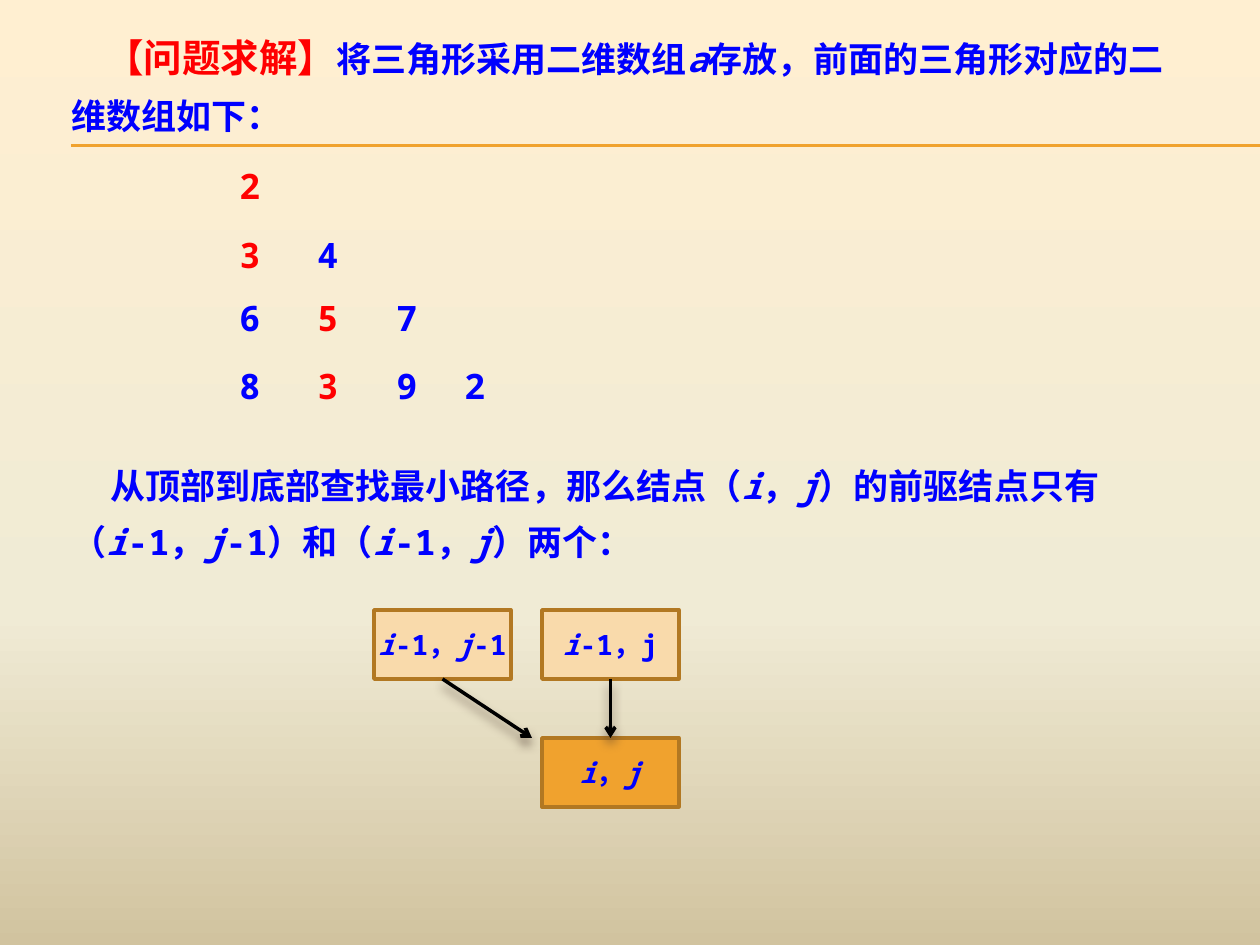
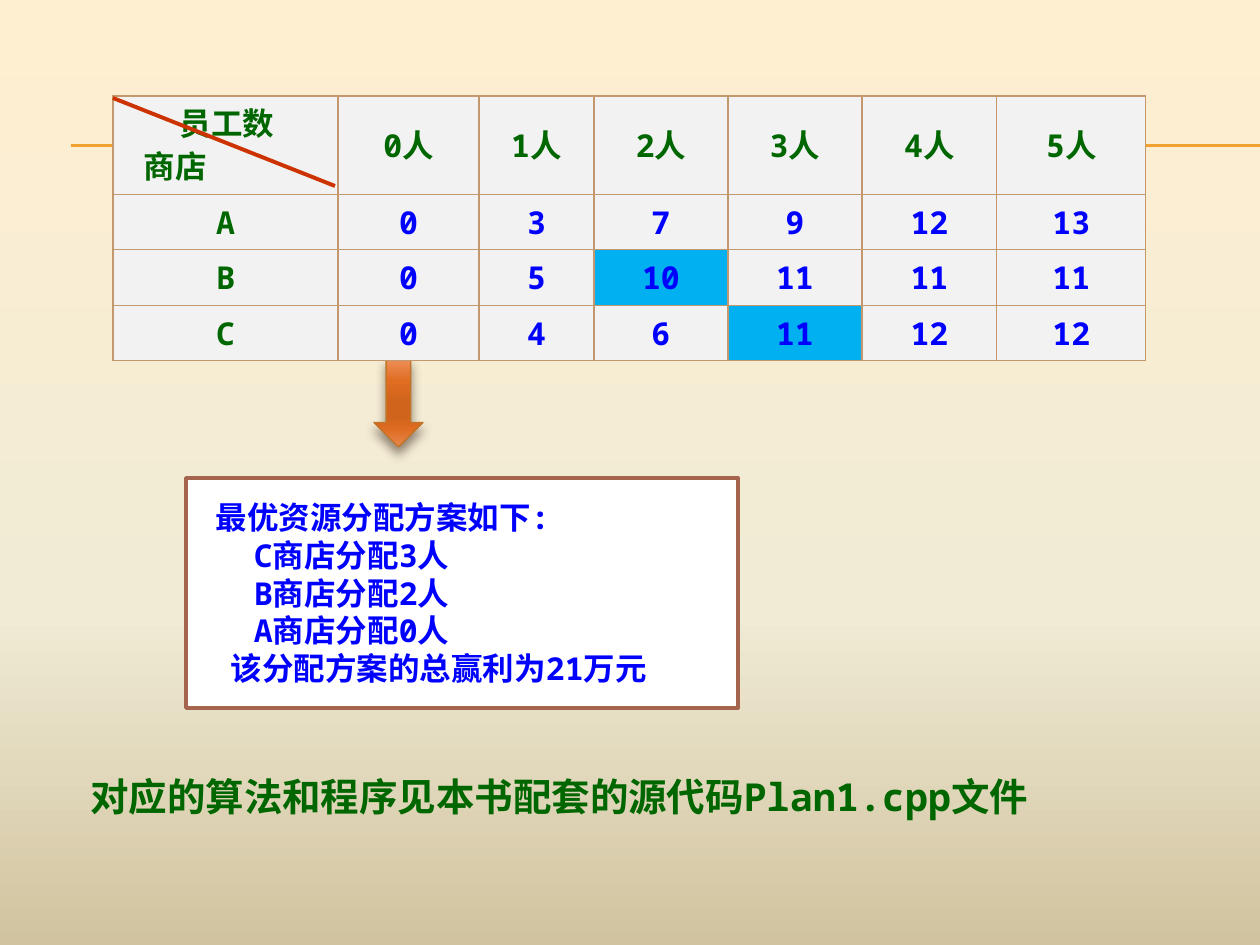
from dataclasses import dataclass

from lxml import etree
from pptx import Presentation
from pptx.dml.color import RGBColor
from pptx.enum.shapes import MSO_CONNECTOR, MSO_SHAPE
from pptx.enum.text import MSO_ANCHOR, MSO_AUTO_SIZE, PP_ALIGN
from pptx.oxml.ns import qn
from pptx.util import Pt

PX = 914400 / 126
STRAIGHT = MSO_CONNECTOR.STRAIGHT
RECTANGLE, DOWN_ARROW = MSO_SHAPE.RECTANGLE, MSO_SHAPE.DOWN_ARROW
LEFT, CENTER = PP_ALIGN.LEFT, PP_ALIGN.CENTER
TOP, MIDDLE = MSO_ANCHOR.TOP, MSO_ANCHOR.MIDDLE
NO_AUTOSIZE = MSO_AUTO_SIZE.NONE
SIDE_TOP, SIDE_BOTTOM = 0, 2
TITLE_ONLY, BLANK = 5, 6


@dataclass(frozen=True)
class Theme:
    """Colours, fonts and type sizes of the deck."""
    mono: str = "Noto Sans Mono"
    chinese: str = "Noto Sans CJK SC"
    blue: str = "0000FF"
    red: str = "FF0000"
    green: str = "006600"
    black: str = "000000"
    white: str = "FFFFFF"
    orange: str = "F0A22E"
    pale_orange: str = "F9DAAB"
    box_border: str = "B27822"
    plan_border: str = "A5644E"
    arrow_border: str = "C17529"
    cell: str = "F2F2F2"
    chosen_cell: str = "00B0F0"
    cell_border: str = "C3986D"
    diagonal: str = "CC3300"
    shadow: str = "4E3B30"
    background: tuple = ((0, "FFEFD1"), (65, "F0EBD5"), (100, "D1C39F"))
    arrow: tuple = ((0, "EE8F5B"), (25, "E06D21"), (50, "D0641C"),
                    (65, "D0641C"), (80, "DE6C20"), (100, "E88852"))
    large: int = 22
    normal: int = 20
    small: int = 18
    tiny: int = 16


def emu(pixels):
    """Turn px into EMU."""
    return round(pixels * PX)


def child(parent, tag, **attributes):
    """Append an XML element with the given attributes."""
    values = {name: str(value) for name, value in attributes.items()}
    return etree.SubElement(parent, qn(tag), values)


def set_gradient(fill, element, stops):
    """Give a fill a gradient that runs from top to bottom."""
    fill.gradient()
    gradient = element.find(".//" + qn("a:gradFill"))
    stop_list = gradient.find(qn("a:gsLst"))
    for stop in list(stop_list):
        stop_list.remove(stop)
    for position, colour in stops:
        stop = child(stop_list, "a:gs", pos=position * 1000)
        child(stop, "a:srgbClr", val=colour)
    gradient.find(qn("a:lin")).set("ang", "5400000")


def set_font(font, name, size, colour):
    """Set typeface, size and colour for Latin and Chinese text."""
    font.name, font.size, font.bold = name, Pt(size), True
    child(font._rPr, "a:ea", typeface=name)
    font.color.rgb = RGBColor.from_string(colour)


class Deck:
    """Holds the theme, the presentation and the current slide."""

    def __init__(self, theme):
        """Set the page size and the shared background."""
        self.theme = theme
        self.presentation = Presentation()
        self.presentation.slide_width = emu(1260)
        self.presentation.slide_height = emu(945)
        master = self.presentation.slide_master
        set_gradient(master.background.fill, master.element, theme.background)
        self.slide = None

    def new_slide(self, layout):
        """Start a slide with the double rule near its top."""
        layouts = self.presentation.slide_layouts
        self.slide = self.presentation.slides.add_slide(layouts[layout])
        for y in (145, 146):
            self.line((71, y), (1260, y), self.theme.orange, 0.75)

    def effects(self, shape, shadow):
        """Replace the theme effects by a soft shadow or by none."""
        effect_list = child(shape._element.spPr, "a:effectLst")
        if shadow:
            outer = child(effect_list, "a:outerShdw", blurRad=Pt(6), dist=Pt(4),
                          dir=5400000, rotWithShape=0)
            colour = child(outer, "a:srgbClr", val=self.theme.shadow)
            child(colour, "a:alpha", val=60000)

    def line(self, start, end, colour, width, arrow=False):
        """Draw a straight line, or a shadowed arrow."""
        connector = self.slide.shapes.add_connector(
            STRAIGHT, *map(emu, start + end))
        connector.line.color.rgb = RGBColor.from_string(colour)
        connector.line.width = Pt(width)
        if arrow:
            child(connector.line._ln, "a:tailEnd", type="arrow")
        self.effects(connector, arrow)
        return connector

    def fill_frame(self, frame, lines, size, colour, align=LEFT, anchor=TOP,
                   indents=(0,), spacing=None, lead=""):
        """Fill a frame with lines; asterisks enclose italics."""
        frame.word_wrap = True
        frame.vertical_anchor = anchor
        for index, line in enumerate(lines):
            paragraph = frame.paragraphs[0] if index == 0 else frame.add_paragraph()
            paragraph.alignment = align
            if spacing:
                paragraph.line_spacing = Pt(spacing)
            properties = paragraph._p.get_or_add_pPr()
            properties.set("marL", "0")
            properties.set("indent", str(emu(indents[index % len(indents)])))
            set_font(paragraph.font, self.theme.mono, size, colour)
            if lead:
                run = paragraph.add_run()
                run.text = lead
                set_font(run.font, self.theme.chinese, self.theme.large, self.theme.red)
            for part, text in enumerate(line.split("*")):
                if text:
                    run = paragraph.add_run()
                    run.text = text
                    if part % 2:
                        run.font.italic = True

    def title(self, box, text, **style):
        """Move the title placeholder and fill it."""
        title = self.slide.shapes.title
        title.left, title.top, title.width, title.height = map(emu, box)
        title.text_frame.auto_size = NO_AUTOSIZE
        self.fill_frame(title.text_frame, [text], **style)

    def text(self, box, text, **style):
        """Add a text box of one paragraph."""
        shape = self.slide.shapes.add_textbox(*map(emu, box))
        self.fill_frame(shape.text_frame, [text], **style)

    def shape(self, kind, box, fill, border, width, shadow=False):
        """Add a preset shape with a plain or gradient fill."""
        shape = self.slide.shapes.add_shape(kind, *map(emu, box))
        if isinstance(fill, str):
            shape.fill.solid()
            shape.fill.fore_color.rgb = RGBColor.from_string(fill)
        else:
            set_gradient(shape.fill, shape._element, fill)
        shape.line.color.rgb = RGBColor.from_string(border)
        shape.line.width = Pt(width)
        self.effects(shape, shadow)
        return shape

    def text_shape(self, box, fill, border, lines, margins, **style):
        """Add a bordered rectangle that holds text."""
        shape = self.shape(RECTANGLE, box, fill, border, 2)
        frame = shape.text_frame
        (frame.margin_left, frame.margin_top,
         frame.margin_right, frame.margin_bottom) = map(emu, margins)
        self.fill_frame(frame, lines, **style)
        return shape

    def node(self, left, top, label, fill):
        """Add one cell of the predecessor diagram."""
        return self.text_shape(
            (left, top, 137, 69), fill, self.theme.box_border, [label],
            (0, 6, 0, 6), size=self.theme.tiny, colour=self.theme.blue,
            align=CENTER, anchor=MIDDLE)

    def table(self, left, top, widths, heights):
        """Add an unstyled table with the given columns and rows."""
        table = self.slide.shapes.add_table(
            len(heights), len(widths), emu(left), emu(top),
            emu(sum(widths)), emu(sum(heights))).table
        table.first_row = table.horz_banding = False
        for column, width in zip(table.columns, widths):
            column.width = emu(width)
        for row, height in zip(table.rows, heights):
            row.height = emu(height)
        return table

    def cell(self, cell, lines, fill, anchor=TOP, **style):
        """Fill, border and label one table cell."""
        properties = cell._tc.get_or_add_tcPr()
        for side in "LRTB":
            border = child(properties, f"a:ln{side}", w=Pt(0.79))
            solid = child(border, "a:solidFill")
            child(solid, "a:srgbClr", val=self.theme.cell_border)
        cell.fill.solid()
        cell.fill.fore_color.rgb = RGBColor.from_string(fill)
        self.fill_frame(cell.text_frame, lines, self.theme.small, **style)
        cell.vertical_anchor = anchor


def triangle_slide(deck):
    """Show the number triangle and the two predecessors of a node."""
    theme = deck.theme
    deck.new_slide(TITLE_ONLY)
    body = {"size": theme.normal, "colour": theme.blue, "spacing": 32}
    deck.title((59, 18, 1152, 126),
               "将三角形采用二维数组*a*存放，前面的三角形对应的二维数组如下：",
               lead="【问题求解】", indents=(34,), **body)
    deck.text((59, 444, 1142, 126),
              "从顶部到底部查找最小路径，那么结点（*i*，*j*）的前驱结点只有"
              "（*i*-1，*j*-1）和（*i*-1，*j*）两个：", indents=(39,), **body)

    triangle = ("2", "34", "657", "8392")
    shortest_route = (0, 0, 1, 1)
    lefts, tops = (227, 305, 384, 452), (158, 227, 290, 358)
    for top, digits, route_column in zip(tops, triangle, shortest_route):
        for column, digit in enumerate(digits):
            colour = theme.red if column == route_column else theme.blue
            deck.text((lefts[column], top, 39, 55), digit,
                      size=theme.normal, colour=colour)

    target = deck.node(542, 738, "*i*，*j*", theme.orange)
    above = deck.node(542, 610, "*i*-1，j", theme.pale_orange)
    diagonal = deck.node(374, 610, "*i*-1，*j*-1", theme.pale_orange)
    straight = deck.line((610, 679), (610, 738), theme.black, 2, arrow=True)
    straight.begin_connect(above, SIDE_BOTTOM)
    straight.end_connect(target, SIDE_TOP)
    slanted = deck.line((443, 679), (532, 738), theme.black, 2, arrow=True)
    slanted.begin_connect(diagonal, SIDE_BOTTOM)


def allocation_slide(deck):
    """Show the profit table and the best allocation of staff."""
    theme = deck.theme
    deck.new_slide(BLANK)
    deck.text_shape(
        (186, 478, 552, 230), theme.white, theme.plan_border,
        ["最优资源分配方案如下:", "C商店分配3人", "B商店分配2人", "A商店分配0人",
         "该分配方案的总赢利为21万元"],
        (30, 20, 13, 20), size=theme.small, colour=theme.blue,
        indents=(0, 38, 38, 38, 15))
    deck.shape(DOWN_ARROW, (374, 359, 49, 88), theme.arrow,
               theme.arrow_border, 0.79, shadow=True)

    profits = {"A": (0, 3, 7, 9, 12, 13),
               "B": (0, 5, 10, 11, 11, 11),
               "C": (0, 4, 6, 11, 12, 12)}
    chosen = {("B", 2), ("C", 3)}
    table = deck.table(113, 96, (225, 141, 115, 134, 134, 135, 149), (88, 50, 50, 50))
    deck.cell(table.cell(0, 0), ["员工数", "商店"], theme.cell,
              colour=theme.green, indents=(54, 18))
    for staff in range(6):
        deck.cell(table.cell(0, staff + 1), [f"{staff}人"], theme.cell,
                  colour=theme.green, align=CENTER, anchor=MIDDLE)
    for row, (shop, values) in enumerate(profits.items(), 1):
        deck.cell(table.cell(row, 0), [shop], theme.cell,
                  colour=theme.green, align=CENTER)
        for staff, profit in enumerate(values):
            fill = theme.chosen_cell if (shop, staff) in chosen else theme.cell
            deck.cell(table.cell(row, staff + 1), [str(profit)], fill,
                      colour=theme.blue, align=CENTER)
    deck.line((113, 98), (335, 186), theme.diagonal, 2.25)
    deck.text((78, 767, 1024, 59), "对应的算法和程序见本书配套的源代码Plan1.cpp文件",
              size=theme.large, colour=theme.green)


def main():
    """Build the deck and save it."""
    deck = Deck(Theme())
    triangle_slide(deck)
    allocation_slide(deck)
    deck.presentation.save("out.pptx")


if __name__ == "__main__":
    main()
